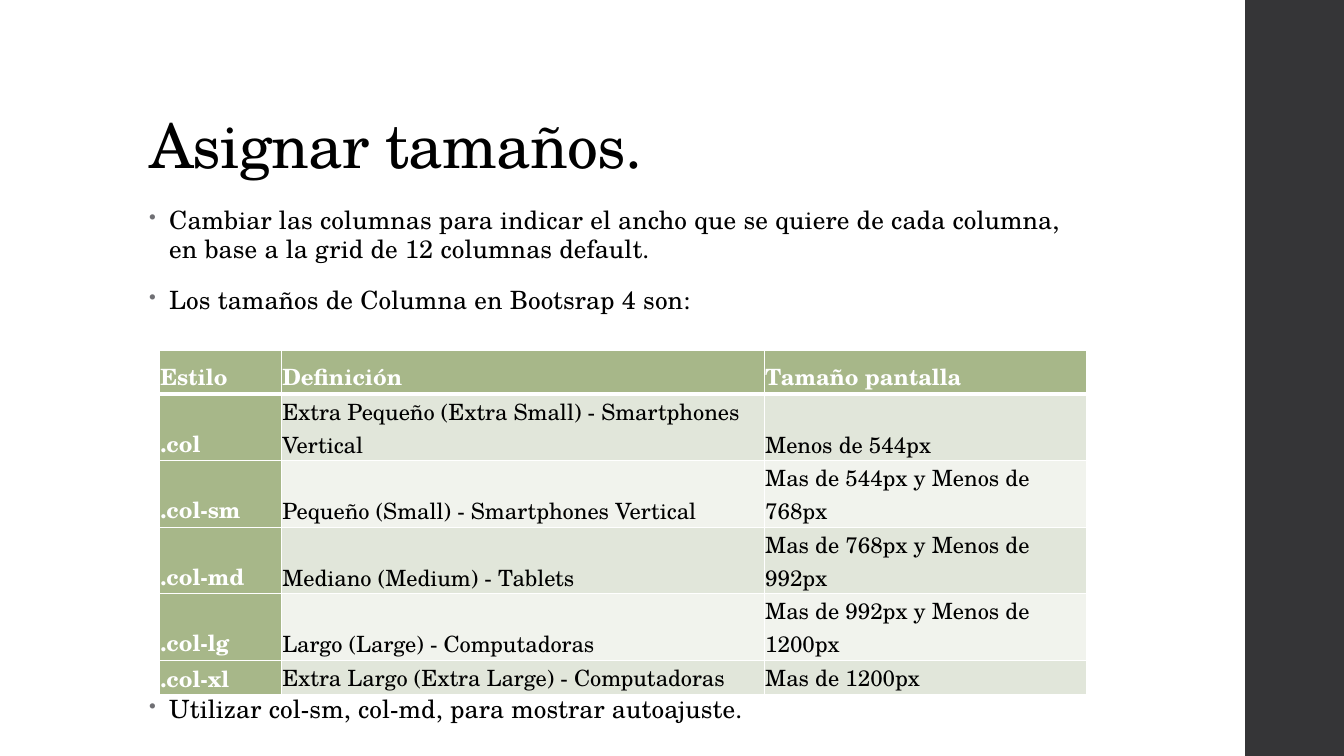
import dataclasses

import pptx
import pptx.dml.color
import pptx.enum.shapes
import pptx.enum.text
import pptx.oxml
import pptx.oxml.ns
import pptx.util
from pptx.util import Inches

ANCHOR = pptx.enum.text.MSO_ANCHOR


@dataclasses.dataclass(frozen=True)
class Theme:
    font: str = "TeX Gyre Schola"
    title: int = 44
    body: int = 18
    cell: int = 16
    ink: str = "000000"
    white: str = "FFFFFF"
    side: str = "353537"
    bullet: str = "6F6F74"
    head: str = "A7B789"
    bands: tuple = ("E1E6DA", "F1F3ED")


T = Theme()

ROWS = [
    ("Estilo", "Definición", "Tamaño pantalla"),
    (".col", "Extra Pequeño (Extra Small) - Smartphones Vertical", "Menos de 544px"),
    (".col-sm", "Pequeño (Small) - Smartphones Vertical", "Mas de 544px y Menos de 768px"),
    (".col-md", "Mediano (Medium) - Tablets", "Mas de 768px y Menos de 992px"),
    (".col-lg", "Largo (Large) - Computadoras", "Mas de 992px y Menos de 1200px"),
    (".col-xl", "Extra Largo (Extra Large) - Computadoras", "Mas de 1200px"),
]
COL_WIDTHS = (1.21, 4.79, 3.2)
ROW_HEIGHTS = (0.43, 0.66, 0.66, 0.66, 0.66, 0.34)


def rgb(value):
    return pptx.dml.color.RGBColor.from_string(value)


def add_xml(parent, tag, attrs, content=""):
    ns = pptx.oxml.ns.nsdecls("a")
    parent.append(pptx.oxml.parse_xml(f"<a:{tag} {ns} {attrs}>{content}</a:{tag}>"))


def write(p, text, size=T.body, color=T.ink, bold=False, tracking=0, line=None):
    r = p.add_run()
    r.text = text
    r.font.name, r.font.size, r.font.bold = T.font, pptx.util.Pt(size), bold
    r.font.color.rgb = rgb(color)
    if tracking:
        r.font._element.set("spc", str(round(tracking * 100)))
    if line:
        p.line_spacing = line


def add_box(s, x, y, w, h, anchor=ANCHOR.TOP):
    tf = s.shapes.add_textbox(Inches(x), Inches(y), Inches(w), Inches(h)).text_frame
    tf.word_wrap = True
    tf.vertical_anchor = anchor
    return tf


def add_bullets(s, x, y, w, h, items):
    tf = add_box(s, x, y, w, h)
    for i, item in enumerate(items):
        p = tf.add_paragraph() if i else tf.paragraphs[0]
        write(p, item, tracking=0.1, line=0.95)
        p.space_before = pptx.util.Pt(14 if i else 0)
        p.space_after = pptx.util.Pt(2)
        pPr = p._p.get_or_add_pPr()
        pPr.set("marL", str(Inches(0.2)))
        pPr.set("indent", str(Inches(-0.2)))
        add_xml(pPr, "buClr", "", f'<a:srgbClr val="{T.bullet}"/>')
        add_xml(pPr, "buSzPct", 'val="80000"')
        add_xml(pPr, "buChar", 'char="•"')


def set_borders(cell, bottom):
    tcPr = cell._tc.get_or_add_tcPr()
    for side, width in (("L", 1), ("R", 1), ("T", 1), ("B", bottom)):
        add_xml(tcPr, f"ln{side}", f'w="{pptx.util.Pt(width)}"',
                f'<a:solidFill><a:srgbClr val="{T.white}"/></a:solidFill>')


def add_size_table(s, x, y):
    tbl = s.shapes.add_table(len(ROWS), len(COL_WIDTHS), Inches(x), Inches(y),
                             Inches(sum(COL_WIDTHS)), Inches(sum(ROW_HEIGHTS))).table
    for col, width in zip(tbl.columns, COL_WIDTHS):
        col.width = Inches(width)
    for i, (row, height) in enumerate(zip(ROWS, ROW_HEIGHTS)):
        tbl.rows[i].height = Inches(height)
        for j, text in enumerate(row):
            cell = tbl.cell(i, j)
            is_head = i == 0 or j == 0
            cell.margin_left = cell.margin_right = cell.margin_top = Inches(0.01)
            cell.margin_bottom = 0
            cell.vertical_anchor = ANCHOR.BOTTOM
            set_borders(cell, bottom=1 if i else 3)
            cell.fill.solid()
            cell.fill.fore_color.rgb = rgb(T.head if is_head else T.bands[(i - 1) % 2])
            write(cell.text_frame.paragraphs[0], text, size=T.cell,
                  color=T.white if is_head else T.ink, bold=is_head)


def add_side_band(s, x, w, h):
    sp = s.shapes.add_shape(pptx.enum.shapes.MSO_SHAPE.RECTANGLE,
                            Inches(x), 0, Inches(w), Inches(h))
    sp.shadow.inherit = False
    sp.fill.solid()
    sp.fill.fore_color.rgb = rgb(T.side)
    sp.line.fill.background()


def main():
    prs = pptx.Presentation()
    prs.slide_width, prs.slide_height = Inches(13.33), Inches(7.5)
    s = prs.slides.add_slide(prs.slide_layouts[6])

    # Side band and title
    add_side_band(s, 12.35, 0.98, 7.5)
    title = add_box(s, 1.38, 0.4, 10.6, 1.45, ANCHOR.BOTTOM)
    write(title.paragraphs[0], "Asignar tamaños.", size=T.title, tracking=-0.5, line=0.9)

    # Points above and below the table
    add_bullets(s, 1.38, 2, 9.4, 1.3, [
        "Cambiar las columnas para indicar el ancho que se quiere de cada columna, "
        "en base a la grid de 12 columnas default.",
        "Los tamaños de Columna en Bootsrap 4 son:",
    ])
    add_bullets(s, 1.38, 6.85, 9.4, 0.43,
                ["Utilizar col-sm, col-md, para mostrar autoajuste."])

    # Column sizes
    add_size_table(s, 1.58, 3.48)

    prs.save("out.pptx")


if __name__ == "__main__":
    main()
